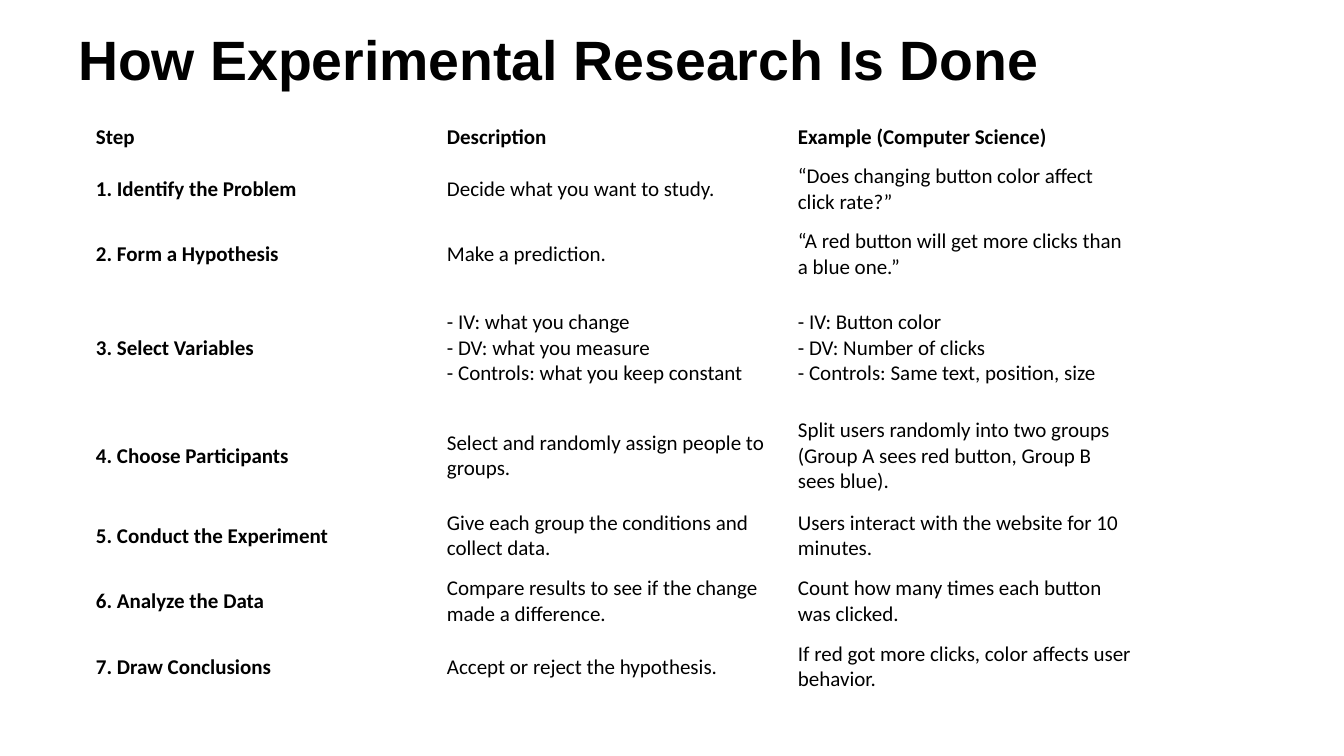
from pptx import Presentation
from pptx.dml.color import RGBColor
from pptx.enum.text import MSO_ANCHOR, PP_ALIGN
from pptx.util import Emu, Pt


def px(n):
    return Emu(round(n * 914400 / 100.8))


def style(p, name, size, bold, color="000000"):
    p.alignment = PP_ALIGN.LEFT
    p.font.name = name
    p.font.size = Pt(size)
    p.font.bold = bold
    p.font.color.rgb = RGBColor.from_string(color)


prs = Presentation()
prs.slide_width, prs.slide_height = px(1344), px(756)
s = prs.slides.add_slide(prs.slide_layouts[5])

# Title
title = s.shapes.title
title.left, title.top, title.width, title.height = px(68), px(26), px(1185), px(73)
tf = title.text_frame
tf.text = "How Experimental Research Is Done"
tf.word_wrap = True
tf.vertical_anchor = MSO_ANCHOR.MIDDLE
tf.paragraphs[0].line_spacing = 0.9
style(tf.paragraphs[0], "Arial", 39.6, True)

# Steps: name, description, example (\v is a line break)
steps = [
    ("Step", "Description", "Example (Computer Science)"),
    ("1. Identify the Problem", "Decide what you want to study.",
     "“Does changing button color affect click rate?”"),
    ("2. Form a Hypothesis", "Make a prediction.",
     "“A red button will get more clicks than a blue one.”"),
    ("3. Select Variables",
     "- IV: what you change\v- DV: what you measure\v- Controls: what you keep constant",
     "- IV: Button color\v- DV: Number of clicks\v- Controls: Same text, position, size"),
    ("4. Choose Participants", "Select and randomly assign people to groups.",
     "Split users randomly into two groups (Group A sees red button, Group B sees blue)."),
    ("5. Conduct the Experiment", "Give each group the conditions and collect data.",
     "Users interact with the website for 10 minutes."),
    ("6. Analyze the Data", "Compare results to see if the change made a difference.",
     "Count how many times each button was clicked."),
    ("7. Draw Conclusions", "Accept or reject the hypothesis.",
     "If red got more clicks, color affects user behavior."),
]
row_heights = [37, 66, 65, 122, 94, 66, 65, 66]

# Table
table = s.shapes.add_table(len(steps), 3, px(88), px(119), px(3 * 351),
                           px(sum(row_heights))).table
table.first_row = table.horz_banding = False
for col in table.columns:
    col.width = px(351)
for i, (step, height) in enumerate(zip(steps, row_heights)):
    table.rows[i].height = px(height)
    for j, text in enumerate(step):
        cell = table.cell(i, j)
        cell.fill.background()
        cell.vertical_anchor = MSO_ANCHOR.MIDDLE
        cell.margin_left = cell.margin_right = px(8)
        cell.margin_top = cell.margin_bottom = px(4)
        cell.text = text
        style(cell.text_frame.paragraphs[0], "Calibri", 15, i == 0 or j == 0)

prs.save("out.pptx")
